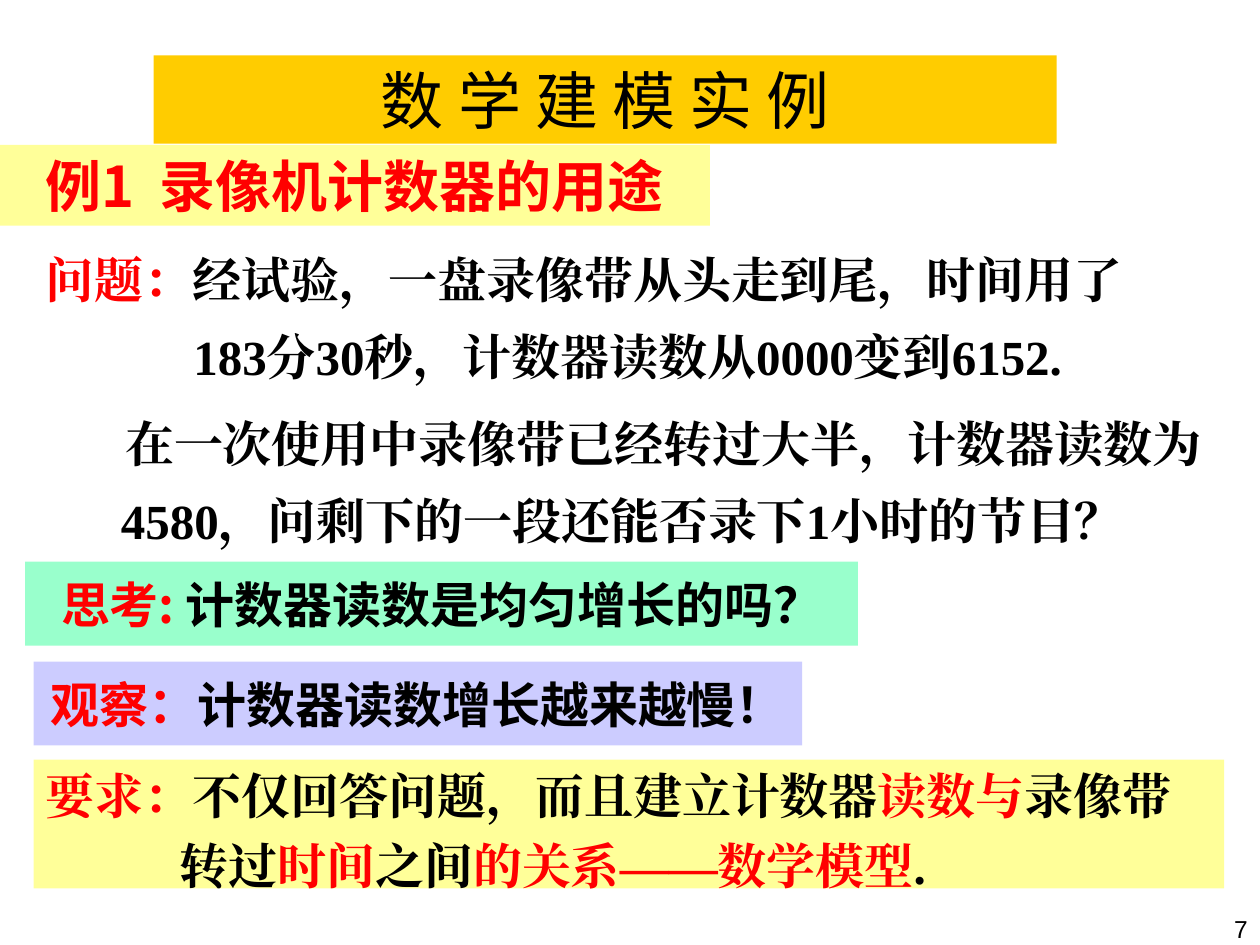
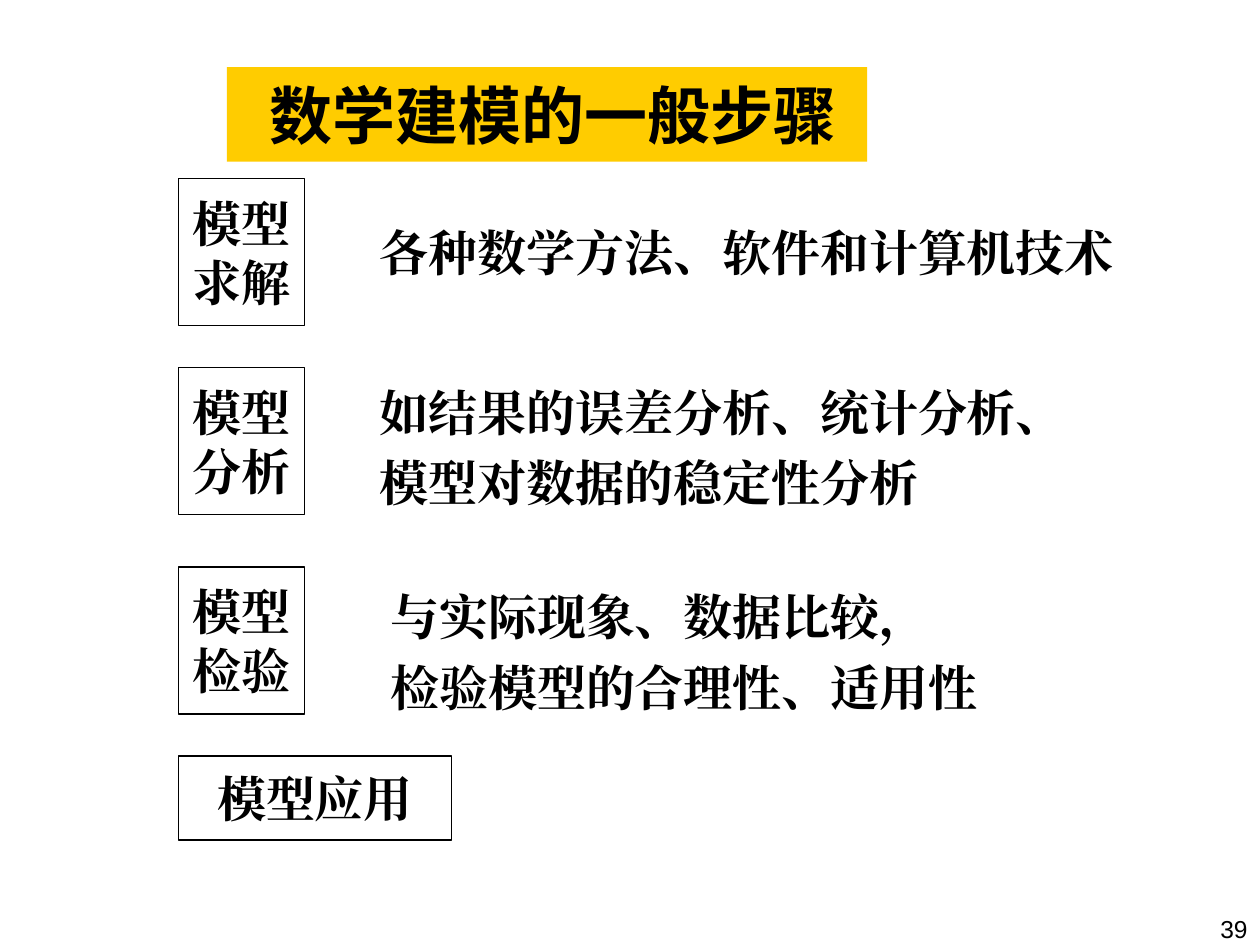
from pptx import Presentation
from pptx.dml.color import RGBColor as Rgb
from pptx.enum.shapes import MSO_SHAPE as Kind
from pptx.enum.text import MSO_ANCHOR as Anchor, PP_ALIGN as Align
from pptx.util import Inches, Pt

SANS, SERIF, PLAIN = "Noto Sans CJK SC", "Times New Roman", "Arial"
BLACK, RED, GOLD = "000000", "FF0000", "FFCC00"
CREAM, MINT, LILAC = "FFFF99", "99FFCC", "CCCCFF"
LEFT, MID, RIGHT = Align.LEFT, Align.CENTER, Align.RIGHT


def tint(code):
    """Turn a hex string into a colour."""
    return Rgb.from_string(code)


class Deck:
    """Hold the style and the current slide, on a grid of 120 by 90 cells."""

    def __init__(self):
        """Start an empty 10 by 7.5 inch deck."""
        self.prs = Presentation()
        self.prs.slide_width, self.prs.slide_height = Inches(10), Inches(7.5)
        self.cell = self.prs.slide_width / 120

    def page(self, num):
        """Add a blank slide with its number in the corner."""
        self.slide = self.prs.slides.add_slide(self.prs.slide_layouts[6])
        self.note((112.9, 86.5, 7.1, 3.4), [str(num)], size=14, font=PLAIN,
                  bold=False, align=RIGHT, anchor=Anchor.TOP)

    def place(self, at):
        """Turn grid cells into lengths."""
        return [round(n * self.cell) for n in at]

    def note(self, at, lines, **look):
        """Add a text box."""
        self.label(self.slide.shapes.add_textbox(*self.place(at)), lines, **look)

    def block(self, at):
        """Add a plain rectangle without a shadow."""
        box = self.slide.shapes.add_shape(Kind.RECTANGLE, *self.place(at))
        box.shadow.inherit = False
        return box

    def band(self, at, lines, fill, **look):
        """Add a filled band with text."""
        box = self.block(at)
        box.fill.solid()
        box.fill.fore_color.rgb = tint(fill)
        box.line.fill.background()
        self.label(box, lines, **look)

    def frame(self, at, lines):
        """Add an outlined box with centred text."""
        box = self.block(at)
        box.fill.background()
        box.line.color.rgb = tint(BLACK)
        box.line.width = Pt(0.75)
        self.label(box, lines, align=MID)

    def label(self, box, lines, size=28, font=SERIF, bold=True, align=LEFT,
              anchor=Anchor.MIDDLE, lead=1, dents=(), gap=0):
        """Fill a shape with lines, where bars switch between black and red."""
        text = box.text_frame
        text.word_wrap = True
        text.vertical_anchor = anchor
        for i, line in enumerate(lines):
            para = text.paragraphs[0] if i == 0 else text.add_paragraph()
            para.alignment, para.line_spacing = align, lead
            if i < len(dents):
                props = para._p.get_or_add_pPr()
                props.set("marL", str(Inches(dents[i])))
                props.set("indent", "0")
            for j, part in enumerate(line.split("|")):
                if not part:
                    continue
                run = para.add_run()
                run.text = part
                face = run.font
                face.size, face.bold, face.name = Pt(size), bold, font
                face.color.rgb = tint(RED if j % 2 else BLACK)
                mark = run._r.get_or_add_rPr()
                east = mark.makeelement(mark[-1].tag.replace("latin", "ea"), {"typeface": font})
                mark.append(east)
                if part == " ":
                    mark.set("spc", str(gap * 100))


def case(deck):
    """Build the worked example of the tape counter."""
    deck.page(7)
    deck.band((14.64, 5.28, 86, 8.4), ["数 学 建 模 实 例"], GOLD, size=36,
              font=SANS, bold=False, align=MID, anchor=Anchor.TOP)
    deck.band((0, 13.8, 67.6, 7.7), ["|例1|| ||录像机计数器的用途"], CREAM, size=32,
              font=SANS, align=MID, anchor=Anchor.TOP, gap=7)
    deck.note((3.2, 22.3, 110.5, 14.2),
              ["|问题：|经试验，一盘录像带从头走到尾，时间用了",
               "183分30秒，计数器读数从0000变到6152."], lead=1.3, dents=(0, 1.17))
    deck.note((2.4, 37.5, 113.75, 15),
              ["在一次使用中录像带已经转过大半，计数器读数为",
               "4580，问剩下的一段还能否录下1小时的节目？"],
              align=MID, lead=1.3, dents=(0.65,))
    deck.band((2.4, 53.5, 79.3, 8), ["|思考: |计数器读数是均匀增长的吗？"], MINT,
              font=SANS, align=MID)
    deck.band((3.2, 63, 73.2, 8), ["|观察：|计数器读数增长越来越慢！"], LILAC,
              font=SANS, align=MID)
    deck.band((3.2, 72.35, 113.4, 12.25),
              ["|要求：|不仅回答问题，而且建立计数器|读数与|录像带",
               "转过|时间|之间|的关系——数学模型|."], CREAM, lead=1.2, dents=(0, 1.06))


def steps(deck):
    """Build the general steps of modelling."""
    deck.page(39)
    deck.band((21.6, 6.4, 61, 9), ["数学建模的一般步骤"], GOLD, size=36,
              font=SANS, align=MID, dents=(0.1,))
    for row, step in (17, "求解"), (35, "分析"), (54, "检验"):
        deck.frame((17, row, 12, 14), ["模型", step])
    deck.frame((17, 72, 26, 8), ["模型应用"])
    deck.note((35, 20, 73, 8), ["各种数学方法、软件和计算机技术"])
    deck.note((35, 35, 72, 14), ["如结果的误差分析、统计分析、", "模型对数据的稳定性分析"], lead=1.2)
    deck.note((36, 54, 71, 15), ["与实际现象、数据比较，", "检验模型的合理性、适用性"], lead=1.2)


def main():
    """Build and save both slides."""
    deck = Deck()
    case(deck)
    steps(deck)
    deck.prs.save("out.pptx")


if __name__ == "__main__":
    main()
